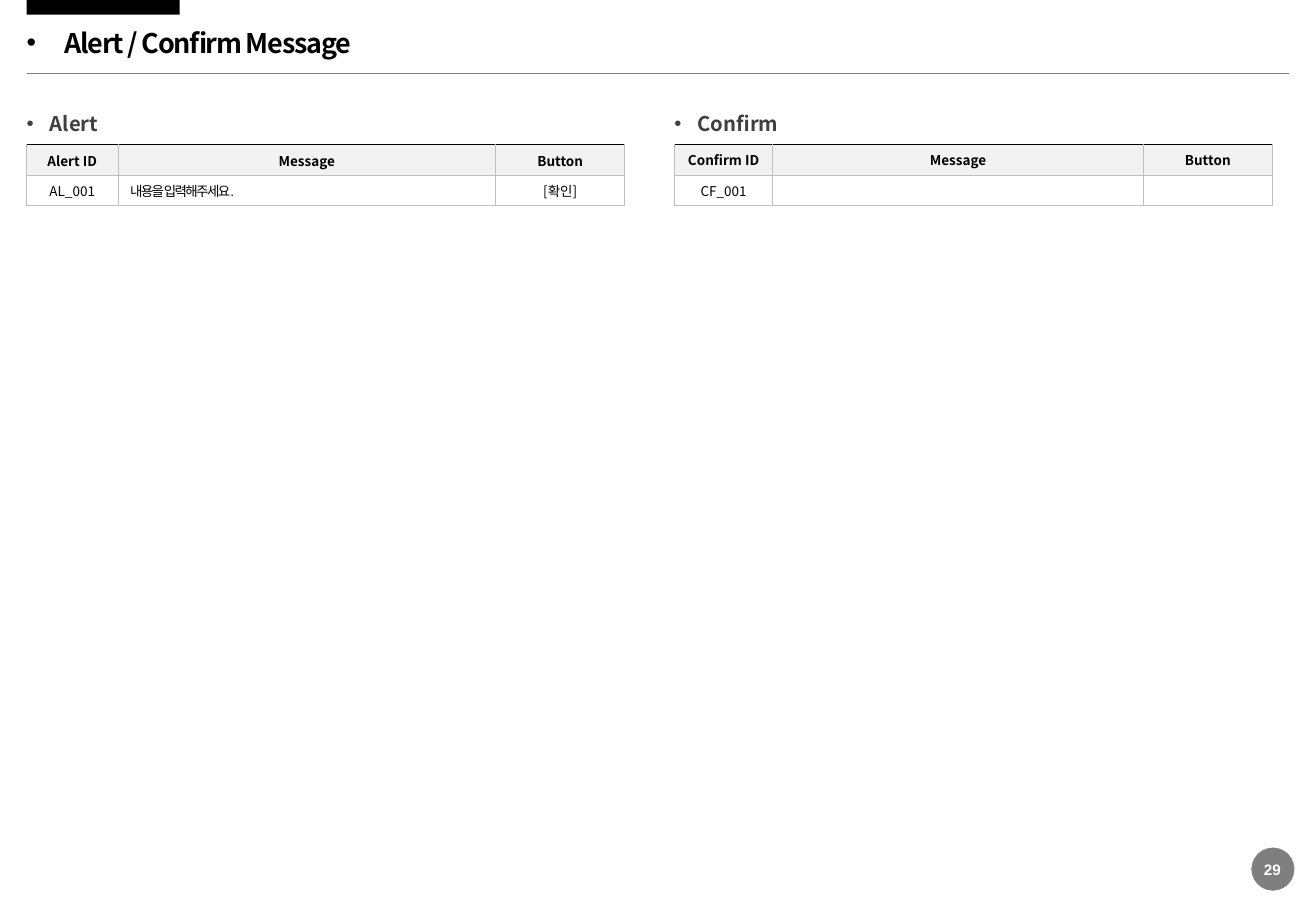
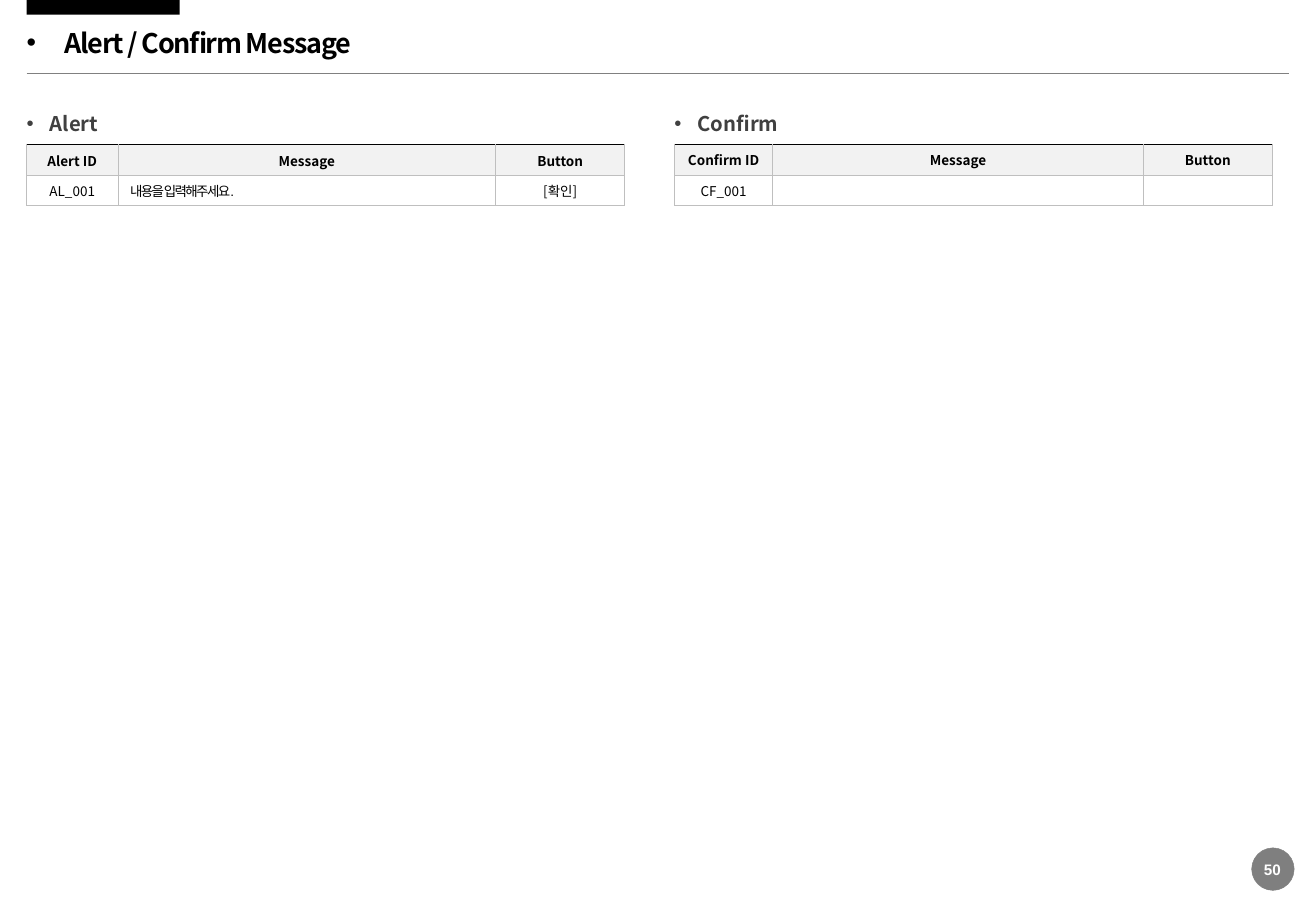
"""Builds the alert and confirm message pages."""
from dataclasses import dataclass

from lxml import etree
from pptx import Presentation
from pptx.dml.color import RGBColor
from pptx.enum.shapes import MSO_CONNECTOR, MSO_SHAPE
from pptx.enum.text import MSO_ANCHOR, PP_ALIGN
from pptx.oxml.ns import qn
from pptx.util import Inches, Pt

LEFT, CENTER = PP_ALIGN.LEFT, PP_ALIGN.CENTER
TOP, MIDDLE = MSO_ANCHOR.TOP, MSO_ANCHOR.MIDDLE
RECTANGLE, OVAL = MSO_SHAPE.RECTANGLE, MSO_SHAPE.OVAL
STRAIGHT = MSO_CONNECTOR.STRAIGHT


@dataclass(frozen=True)
class Theme:
    black: str = "000000"
    white: str = "FFFFFF"
    gray: str = "808080"
    dark: str = "404040"
    border: str = "BFBFBF"
    header: str = "F2F2F2"
    body_font: str = "Noto Sans CJK KR"
    latin_font: str = "Arial"
    title_size: float = 16
    heading_size: float = 12
    number_size: float = 9
    table_size: float = 8
    hairline: float = 0.25
    margin: float = 2.03


class Sheet:
    def __init__(self, deck, theme):
        self.deck, self.theme = deck, theme
        self.page = None

    def new_page(self):
        self.page = self.deck.slides.add_slide(self.deck.slide_layouts[6])

    def across(self, percent):
        return round(self.deck.slide_width * percent / 100)

    def down(self, percent):
        return round(self.deck.slide_height * percent / 100)

    def place(self, left, top, width, height):
        return self.across(left), self.down(top), self.across(width), self.down(height)

    def style(self, para, size, color, bold=False, font=None, spacing=0):
        for span in para.runs:
            span.font.size, span.font.bold = Pt(size), bold
            span.font.name = font or self.theme.body_font
            span.font.color.rgb = RGBColor.from_string(color)
            marks = span.font._element if hasattr(span.font, "_element") else span._r.get_or_add_rPr()
            etree.SubElement(marks, qn("a:ea"), typeface=self.theme.body_font)
            if spacing:
                marks.set("spc", str(round(spacing * 100)))

    def bullet(self, para, indent):
        props = para._p.get_or_add_pPr()
        props.set("marL", str(Inches(indent)))
        props.set("indent", str(-Inches(indent)))
        etree.SubElement(props, qn("a:buFont"), typeface=self.theme.latin_font)
        etree.SubElement(props, qn("a:buChar"), char="•")

    def text(self, area, words, anchor=TOP, align=LEFT, wrap=True, **look):
        frame = self.page.shapes.add_textbox(*self.place(*area)).text_frame
        frame.margin_left = frame.margin_right = frame.margin_top = frame.margin_bottom = 0
        frame.word_wrap, frame.vertical_anchor = wrap, anchor
        frame.text = words
        para = frame.paragraphs[0]
        para.alignment = align
        self.style(para, **look)
        return para

    def shape(self, kind, area, color, opacity=100, outline=None):
        shape = self.page.shapes.add_shape(kind, *self.place(*area))
        shape.shadow.inherit = False
        shape.fill.solid()
        shape.fill.fore_color.rgb = RGBColor.from_string(color)
        if opacity < 100:
            tint = shape.fill._xPr.find(".//" + qn("a:srgbClr"))
            etree.SubElement(tint, qn("a:alpha"), val=str(opacity * 1000))
        if outline:
            shape.line.color.rgb = RGBColor.from_string(outline)
            shape.line.width = Pt(self.theme.hairline)
        else:
            shape.line.fill.background()

    def rule(self, top):
        line = self.page.shapes.add_connector(
            STRAIGHT, self.across(self.theme.margin), self.down(top),
            self.across(100 - self.theme.margin), self.down(top))
        line.line.color.rgb = RGBColor.from_string(self.theme.gray)
        line.line.width = Pt(self.theme.hairline)
        etree.SubElement(line._element.spPr, qn("a:effectLst"))

    def frame(self, title, number):
        theme = self.theme
        self.shape(RECTANGLE, (theme.margin, 0, 11.63, 1.6), theme.black)
        self.rule(8)
        self.shape(OVAL, (95.11, 93.07, 3.23, 4.67), theme.black, 50, theme.gray)
        para = self.text((theme.margin, 2.8, 60, 4.13), title, MIDDLE,
                         size=theme.title_size, color=theme.black, bold=True, spacing=-0.7)
        para.line_spacing, para.space_before = 0.9, Pt(8.1)
        self.bullet(para, 0.31)
        self.text((95.94, 94.4, 1.48, 2), str(number), MIDDLE, CENTER, False,
                  size=theme.number_size, color=theme.white, bold=True, font=theme.latin_font)

    def heading(self, left, words):
        para = self.text((left, 12.27, 8.4, 2.67), words,
                         size=self.theme.heading_size, color=self.theme.dark, bold=True)
        self.bullet(para, 0.19)

    def borders(self, cell, header):
        props = cell._tc.get_or_add_tcPr()
        for side in ("lnL", "lnR", "lnT", "lnB"):
            strong = header and side == "lnT"
            line = etree.SubElement(props, qn("a:" + side), w=str(Pt(1 if strong else 0.5)))
            fill = etree.SubElement(line, qn("a:solidFill"))
            color = self.theme.black if strong else self.theme.border
            etree.SubElement(fill, qn("a:srgbClr"), val=color)

    def cell(self, cell, words, header, message, padding):
        theme = self.theme
        cell.margin_top = cell.margin_bottom = Inches(padding)
        cell.vertical_anchor = MIDDLE
        self.borders(cell, header)
        if header:
            cell.fill.solid()
            cell.fill.fore_color.rgb = RGBColor.from_string(theme.header)
        else:
            cell.fill.background()
        para = cell.text_frame.paragraphs[0]
        if not words:
            etree.SubElement(para._p, qn("a:endParaRPr"), sz=str(theme.table_size * 100))
            return
        para.text = words
        para.alignment = LEFT if message else CENTER
        self.style(para, theme.table_size, theme.black, header,
                   theme.latin_font if message else None, -1 if message else 0)

    def table(self, left, columns, rows, padding):
        row_height = 3.33
        area = self.place(left, 15.87, sum(columns), row_height * len(rows))
        table = self.page.shapes.add_table(len(rows), len(columns), *area).table
        table.horz_banding = False
        for column, width in zip(table.columns, columns):
            column.width = self.across(width)
        for row_index, row in enumerate(rows):
            table.rows[row_index].height = self.down(row_height)
            for column_index, words in enumerate(row):
                header = row_index == 0
                self.cell(table.cell(row_index, column_index), words, header,
                          column_index == 1 and not header, padding)


PAGE_NUMBERS = (29, 50)
SECTIONS = (
    ("Alert", 2.03, (6.93, 28.72, 9.79), ("AL_001", "내용을 입력해주세요.", "[확인]"), 0.05),
    ("Confirm", 51.25, (7.48, 28.16, 9.79), ("CF_001", "", ""), 0.04),
)


def main():
    deck = Presentation()
    deck.slide_width, deck.slide_height = Inches(10.83), Inches(7.5)
    sheet = Sheet(deck, Theme())
    for number in PAGE_NUMBERS:
        sheet.new_page()
        sheet.frame("Alert / Confirm Message", number)
        for name, left, columns, entry, padding in SECTIONS:
            sheet.heading(left, name)
            sheet.table(left, columns, ((name + " ID", "Message", "Button"), entry), padding)
    deck.save("out.pptx")


if __name__ == "__main__":
    main()
